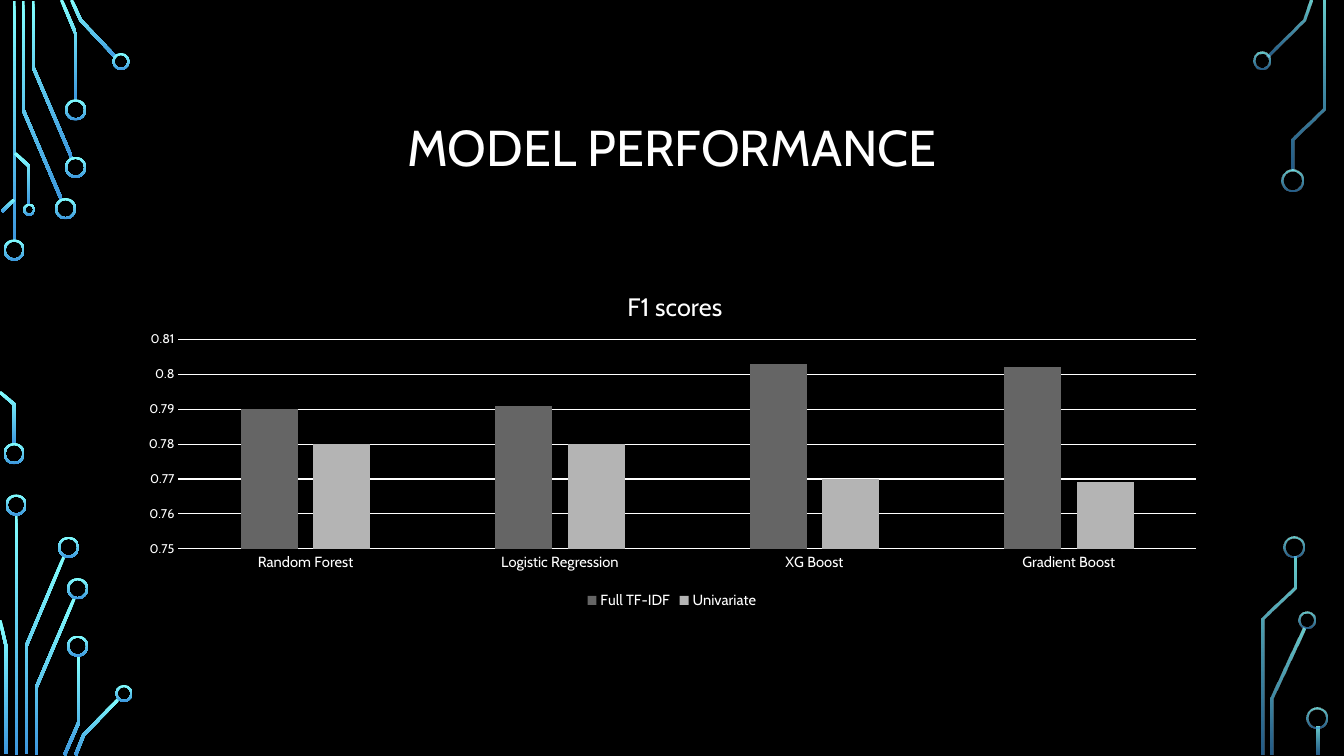
from math import hypot

from pptx import Presentation
from pptx.chart.data import CategoryChartData
from pptx.dml.color import RGBColor
from pptx.enum.chart import XL_CHART_TYPE as ChartType, XL_LEGEND_POSITION as LegendPosition, XL_TICK_MARK as TickMark
from pptx.enum.shapes import MSO_SHAPE as Shape
from pptx.enum.text import MSO_ANCHOR as Anchor, PP_ALIGN as Align
from pptx.oxml.ns import qn
from pptx.oxml.xmlchemy import OxmlElement
from pptx.util import Inches, Pt

BLACK = RGBColor(0x00, 0x00, 0x00)
WHITE = RGBColor(0xFF, 0xFF, 0xFF)
AQUA = RGBColor(0x82, 0xFF, 0xFF)
BLUE = RGBColor(0x3D, 0x97, 0xDE)
DARK_GRAY = RGBColor(0x65, 0x65, 0x65)
LIGHT_GRAY = RGBColor(0xB4, 0xB4, 0xB4)
FONT = "Cabin"

TITLE = "MODEL PERFORMANCE"
CHART_TITLE = "F1 scores"
MODELS = ["Random Forest", "Logistic Regression", "XG Boost", "Gradient Boost"]
SCORES = [
    ("Full TF-IDF", [0.79, 0.791, 0.803, 0.802], DARK_GRAY),
    ("Univariate", [0.78, 0.78, 0.77, 0.769], LIGHT_GRAY),
]

TRACE_WIDTH = 0.03
RING_RIM = 0.02
CIRCUITS = [
    {
        "opacity": (100, 100),
        "traces": [
            [(0.14, 0.01), (0.14, 2.4)],
            [(0.23, 0.01), (0.23, 1.09), (0.61, 1.98)],
            [(0.33, 0.01), (0.33, 0.67), (0.71, 1.56)],
            [(0.61, 0), (0.75, 0.33), (0.75, 1)],
            [(0.71, 0), (0.8, 0.2), (1.15, 0.57)],
            [(0.02, 2.1), (0.14, 1.98)],
            [(0, 3.89), (0.14, 4.01), (0.14, 4.41)],
            [(0.15, 1.52), (0.29, 1.65), (0.29, 2.03)],
            [(0.16, 5.1), (0.16, 7.49)],
            [(0.26, 7.48), (0.26, 6.41), (0.64, 5.51)],
            [(0, 6.15), (0.06, 6.41), (0.06, 7.48)],
            [(0.36, 7.49), (0.36, 6.82), (0.74, 5.93)],
            [(0.64, 7.49), (0.78, 7.17), (0.78, 6.5)],
            [(0.75, 7.49), (0.83, 7.29), (1.18, 6.93)],
        ],
        "rings": [
            (0.14, 2.48, 0.21), (0.14, 4.5, 0.21), (0.65, 2.07, 0.21),
            (0.75, 1.66, 0.21), (0.75, 1.09, 0.21), (1.2, 0.61, 0.17),
            (0.29, 2.08, 0.12), (0.16, 5.01, 0.21), (0.68, 5.43, 0.21),
            (0.77, 5.84, 0.21), (0.77, 6.41, 0.21), (1.23, 6.88, 0.17),
        ],
    },
    {
        "opacity": (80, 60),
        "traces": [
            [(13, 0), (12.93, 0.2), (12.57, 0.56)],
            [(12.62, 7.49), (12.62, 6.93), (12.93, 6.23)],
            [(13.13, 0.01), (13.13, 1.08), (12.82, 1.38), (12.82, 1.69)],
            [(12.53, 7.49), (12.53, 6.14), (12.84, 5.83), (12.84, 5.52)],
            [(13.07, 7.21), (13.07, 7.49)],
        ],
        "rings": [
            (12.52, 0.6, 0.17), (12.82, 1.79, 0.21), (12.96, 6.15, 0.17),
            (12.83, 5.43, 0.21), (13.06, 7.12, 0.21),
        ],
    },
]


def apply(target, **values):
    for name, value in values.items():
        setattr(target, name, value)


def set_font(font, size):
    apply(font, name=FONT, size=Pt(size), bold=False)
    font.color.rgb = WHITE


def set_glow(shape, opacity):
    shape.shadow.inherit = False
    shape.line.fill.background()
    shape.fill.gradient()
    shape.fill.gradient_angle = 270
    for stop, color, position, percent in zip(shape.fill.gradient_stops, (AQUA, BLUE), (0, 1), opacity):
        stop.color.rgb = color
        stop.position = position
        if percent < 100:
            alpha = OxmlElement("a:alpha")
            alpha.set("val", str(percent * 1000))
            stop.color._xFill.append(alpha) if hasattr(stop.color, "_xFill") else None
    if opacity != (100, 100):
        for color, percent in zip(shape._element.spPr.iter(qn("a:srgbClr")), opacity):
            if color.find(qn("a:alpha")) is None:
                alpha = OxmlElement("a:alpha")
                alpha.set("val", str(percent * 1000))
                color.append(alpha)


def trace_outline(points):
    normals = []
    for (x1, y1), (x2, y2) in zip(points, points[1:]):
        length = hypot(x2 - x1, y2 - y1)
        normals.append(((y1 - y2) / length, (x2 - x1) / length))
    near, far = [], []
    for (x, y), before, after in zip(points, normals[:1] + normals, normals + normals[-1:]):
        scale = TRACE_WIDTH / 2 / (1 + before[0] * after[0] + before[1] * after[1])
        dx, dy = (before[0] + after[0]) * scale, (before[1] + after[1]) * scale
        near.append((Inches(x + dx), Inches(y + dy)))
        far.append((Inches(x - dx), Inches(y - dy)))
    return near + far[::-1]


def draw_circuit(page, opacity, traces, rings):
    for points in traces:
        start, *rest = trace_outline(points)
        builder = page.shapes.build_freeform(*start)
        builder.add_line_segments(rest, close=True)
        set_glow(builder.convert_to_shape(), opacity)
    for x, y, size in rings:
        corner = Inches(x - size / 2), Inches(y - size / 2)
        ring = page.shapes.add_shape(Shape.DONUT, *corner, Inches(size), Inches(size))
        ring.adjustments[0] = RING_RIM / size
        set_glow(ring, opacity)


def place(element, index, **fractions):
    for old in element.findall(qn("c:layout")):
        element.remove(old)
    layout, manual = OxmlElement("c:layout"), OxmlElement("c:manualLayout")
    layout.append(manual)
    for name, value in fractions.items():
        entry = OxmlElement(f"c:{name}")
        entry.set("val", str(value))
        manual.append(entry)
    element.insert(index, layout)


def add_title(page):
    box = page.shapes.title
    apply(box, left=Inches(1.25), top=Inches(0.68), width=Inches(10.83), height=Inches(1.62))
    apply(box.text_frame, text=TITLE, vertical_anchor=Anchor.MIDDLE, word_wrap=True)
    para = box.text_frame.paragraphs[0]
    apply(para, alignment=Align.CENTER, line_spacing=0.9)
    set_font(para.runs[0].font, 36)


def add_scores(page):
    data = CategoryChartData()
    data.categories = MODELS
    for name, values, _ in SCORES:
        data.add_series(name, values)
    frame = page.shapes.add_chart(
        ChartType.COLUMN_CLUSTERED, Inches(1.25), Inches(2.65), Inches(10.83), Inches(3.44), data)
    chart = frame.chart
    set_font(chart.font, 10)
    apply(chart, has_title=True, has_legend=True)
    heading = chart.chart_title
    heading.text_frame.text = CHART_TITLE
    set_font(heading.text_frame.paragraphs[0].runs[0].font, 18)
    apply(chart.legend, position=LegendPosition.BOTTOM, include_in_layout=False)
    set_font(chart.legend.font, 10.5)

    plot = chart.plots[0]
    apply(plot, gap_width=219, overlap=-27, vary_by_categories=False)
    for series, (_, _, color) in zip(plot.series, SCORES):
        series.format.fill.solid()
        series.format.fill.fore_color.rgb = color

    models, values = chart.category_axis, chart.value_axis
    apply(values, minimum_scale=0.75, maximum_scale=0.81, major_unit=0.01, has_major_gridlines=True)
    for axis, size in ((models, 10.5), (values, 9)):
        apply(axis, major_tick_mark=TickMark.NONE, minor_tick_mark=TickMark.NONE)
        set_font(axis.tick_labels.font, size)
    for line in (models.format.line, values.major_gridlines.format.line):
        line.color.rgb = WHITE
        line.width = Pt(0.75)
    values.format.line.fill.background()

    place(heading._element, 1, xMode="edge", yMode="edge", x=0.455, y=0.05)
    place(chart._chartSpace.chart.plotArea, 0, layoutTarget="inner", xMode="edge", yMode="edge",
          x=0.048, y=0.208, w=0.932, h=0.605)


def main():
    deck = Presentation()
    apply(deck, slide_width=Inches(13.33), slide_height=Inches(7.5))
    page = deck.slides.add_slide(deck.slide_layouts[5])
    page.background.fill.solid()
    page.background.fill.fore_color.rgb = BLACK
    for circuit in CIRCUITS:
        draw_circuit(page, **circuit)
    add_title(page)
    add_scores(page)
    deck.save("out.pptx")


if __name__ == "__main__":
    main()
